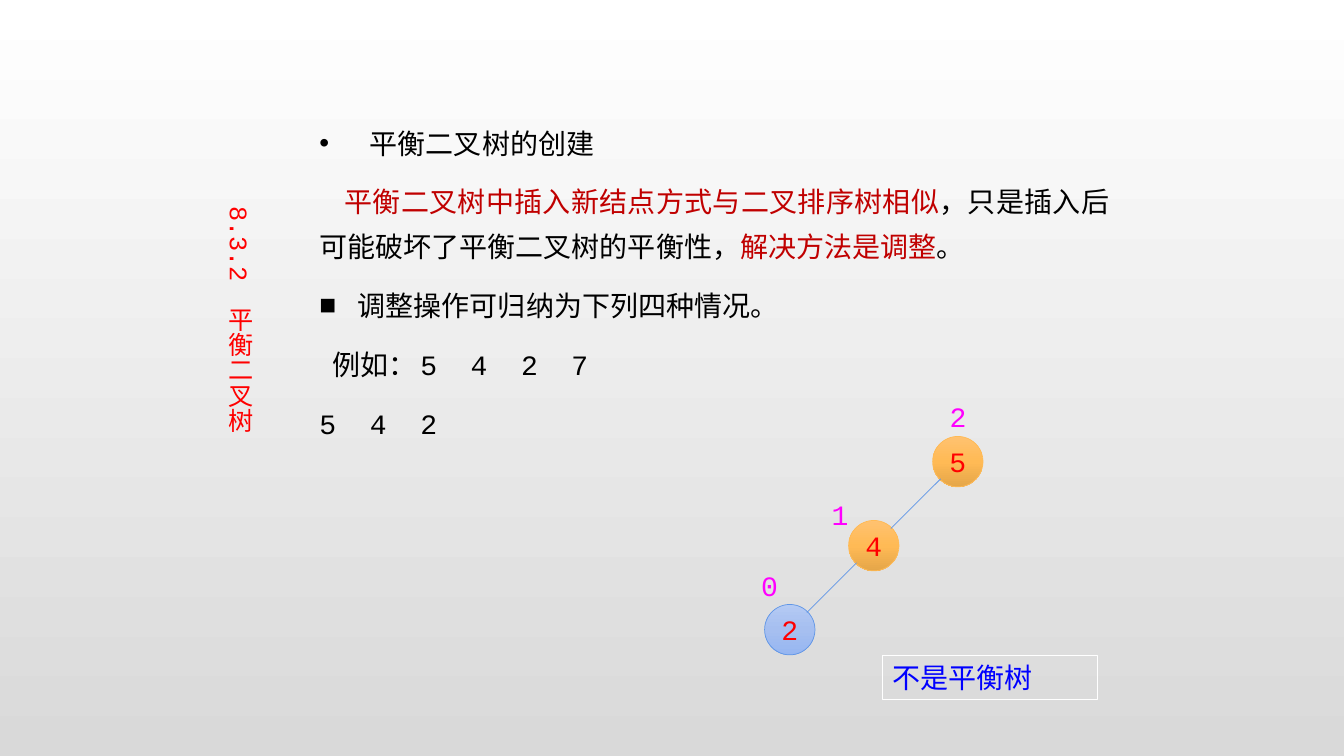
import copy
import pptx
import pptx.dml.color
import pptx.enum.shapes
import pptx.enum.text
import pptx.oxml.ns
import pptx.util
from lxml import etree

Inches = pptx.util.Inches
Pt = pptx.util.Pt
RGBColor = pptx.dml.color.RGBColor
MSO_SHAPE = pptx.enum.shapes.MSO_SHAPE
ALIGN = pptx.enum.text.PP_ALIGN
ANCHOR = pptx.enum.text.MSO_ANCHOR
AUTO_SIZE = pptx.enum.text.MSO_AUTO_SIZE
qn = pptx.oxml.ns.qn

LATIN, CJK = "Courier New", "Noto Sans CJK SC"
BLACK = RGBColor(0x00, 0x00, 0x00)
WHITE = RGBColor(0xFF, 0xFF, 0xFF)
GRAY = RGBColor(0xD9, 0xD9, 0xD9)
RED = RGBColor(0xFF, 0x00, 0x00)
DARK_RED = RGBColor(0xC0, 0x00, 0x00)
BLUE = RGBColor(0x00, 0x00, 0xFF)
MAGENTA = RGBColor(0xFF, 0x00, 0xFF)
ORANGE = RGBColor(0xFF, 0xBA, 0x55)
SKY = RGBColor(0x60, 0x96, 0xE6)
ORANGES = [RGBColor(0xFF, 0xC2, 0x70), ORANGE, RGBColor(0xE5, 0xA6, 0x49)]
SKIES = [RGBColor(0xB4, 0xCA, 0xF3), RGBColor(0xA6, 0xBF, 0xF0), RGBColor(0x96, 0xB6, 0xF1)]

NODE_SIZE = 0.5
EDGE_OFFSET = 0.17


def add_text(p, text, size=20, color=BLACK, font=LATIN):
    r = p.add_run()
    r.text = text
    r.font.size = Pt(size)
    r.font.name = font
    r.font.color.rgb = color
    ea = etree.Element(qn("a:ea"), typeface=CJK)
    r.font.name and r.font._element.find(qn("a:latin")).addnext(ea)


def add_box(s, left, top, width, height):
    sp = s.shapes.add_textbox(Inches(left), Inches(top), Inches(width), Inches(height))
    tf = sp.text_frame
    tf.word_wrap = True
    tf.auto_size = AUTO_SIZE.SHAPE_TO_FIT_TEXT
    return sp


def set_gradient(fill, colors):
    fill.gradient()
    fill.gradient_angle = 270
    first = fill.gradient_stops[0]._gs
    for _ in colors[2:]:
        first.addnext(copy.deepcopy(first))
    for i, (stop, color) in enumerate(zip(fill.gradient_stops, colors)):
        stop.position = i / (len(colors) - 1)
        stop.color.rgb = color


def format_paragraph(p, first, margin=0, indent=0, bullet=None, tabs=()):
    p.alignment = ALIGN.JUSTIFY
    p.line_spacing = Pt(32)
    p.space_before = Pt(0 if first else 10)
    pPr = p._p.get_or_add_pPr()
    pPr.set("marL", str(Inches(margin)))
    pPr.set("indent", str(Inches(indent)))
    if bullet:
        etree.SubElement(pPr, qn("a:buFont"), typeface="Arial")
        etree.SubElement(pPr, qn("a:buChar"), char=bullet)
    if tabs:
        tab_list = etree.SubElement(pPr, qn("a:tabLst"))
        for pos in tabs:
            etree.SubElement(tab_list, qn("a:tab"), pos=str(Inches(pos)), algn="l")


def add_body(s):
    paragraphs = [
        (dict(margin=0.5, indent=-0.5, bullet="•"), [("平衡二叉树的创建", BLACK)]),
        (dict(indent=0.25), [
            ("平衡二叉树中插入新结点方式与二叉排序树相似", DARK_RED),
            ("，只是插入后可能破坏了平衡二叉树的平衡性，", BLACK),
            ("解决方法是调整", DARK_RED),
            ("。", BLACK)]),
        (dict(margin=0.38, indent=-0.38, bullet="■"), [("调整操作可归纳为下列四种情况。", BLACK)]),
        (dict(indent=0.13, tabs=(1.15, 1.82, 2.48, 3.15)), [("例如：\t5\t4\t2\t7", BLACK)]),
        (dict(tabs=(0.83, 1.5)), [("5\t4\t2", BLACK)]),
    ]
    tf = add_box(s, 3.07, 1.09, 8.03, 3.47).text_frame
    for i, (layout, runs) in enumerate(paragraphs):
        p = tf.add_paragraph() if i else tf.paragraphs[0]
        format_paragraph(p, first=i == 0, **layout)
        for text, color in runs:
            add_text(p, text, color=color)


def add_vertical_title(s):
    tf = add_box(s, 2.08, 1.95, 0.5, 3.44).text_frame
    tf._txBody.bodyPr.set("vert", "eaVert")
    p = tf.paragraphs[0]
    p.alignment = ALIGN.LEFT
    add_text(p, "8.3.2\u3000平衡二叉树".replace("\u3000", "　"), size=18, color=RED)


def add_node(s, key, cx, cy, colors, outline):
    sp = s.shapes.add_shape(MSO_SHAPE.OVAL, Inches(cx - NODE_SIZE / 2), Inches(cy - NODE_SIZE / 2),
                            Inches(NODE_SIZE), Inches(NODE_SIZE))
    sp.shadow.inherit = False
    set_gradient(sp.fill, colors)
    sp.line.color.rgb = outline
    sp.line.width = Pt(0.5)
    tf = sp.text_frame
    tf.word_wrap = False
    tf.vertical_anchor = ANCHOR.MIDDLE
    p = tf.paragraphs[0]
    p.alignment = ALIGN.CENTER
    add_text(p, key, color=RED)


def add_edge(s, parent, child):
    (px, py), (cx, cy) = parent, child
    c = s.shapes.add_connector(pptx.enum.shapes.MSO_CONNECTOR.STRAIGHT,
                               Inches(px - EDGE_OFFSET), Inches(py + EDGE_OFFSET),
                               Inches(cx + EDGE_OFFSET), Inches(cy - EDGE_OFFSET))
    c.line.color.rgb = SKY
    c.line.width = Pt(0.5)
    etree.SubElement(c._element.spPr, qn("a:effectLst"))


def add_balance_factor(s, factor, left, top):
    sp = add_box(s, left, top, 0.31, 0.44)
    add_text(sp.text_frame.paragraphs[0], factor, color=MAGENTA)


def add_verdict(s):
    sp = add_box(s, 8.75, 6.5, 2.14, 0.44)
    sp.line.color.rgb = WHITE
    sp.line.width = Pt(0.75)
    add_text(sp.text_frame.paragraphs[0], "不是平衡树", color=BLUE, font=CJK)


def add_tree(s):
    centers = [(9.5 - i * 5 / 6, 4.58 + i * 5 / 6) for i in range(3)]
    styles = [(ORANGES, ORANGE), (ORANGES, ORANGE), (SKIES, SKY)]
    for key, (cx, cy), (colors, outline) in zip("542", centers, styles):
        add_node(s, key, cx, cy, colors, outline)
    for parent, child in zip(centers, centers[1:]):
        add_edge(s, parent, child)
    for factor, left, top in [("2", 9.32, 3.91), ("1", 8.15, 4.89), ("0", 7.45, 5.59)]:
        add_balance_factor(s, factor, left, top)


def main():
    prs = pptx.Presentation()
    prs.slide_width, prs.slide_height = Inches(13.33), Inches(7.5)
    s = prs.slides.add_slide(prs.slide_layouts[6])
    set_gradient(s.background.fill, [WHITE, GRAY])
    add_body(s)
    add_vertical_title(s)
    add_tree(s)
    add_verdict(s)
    prs.save("out.pptx")


if __name__ == "__main__":
    main()
